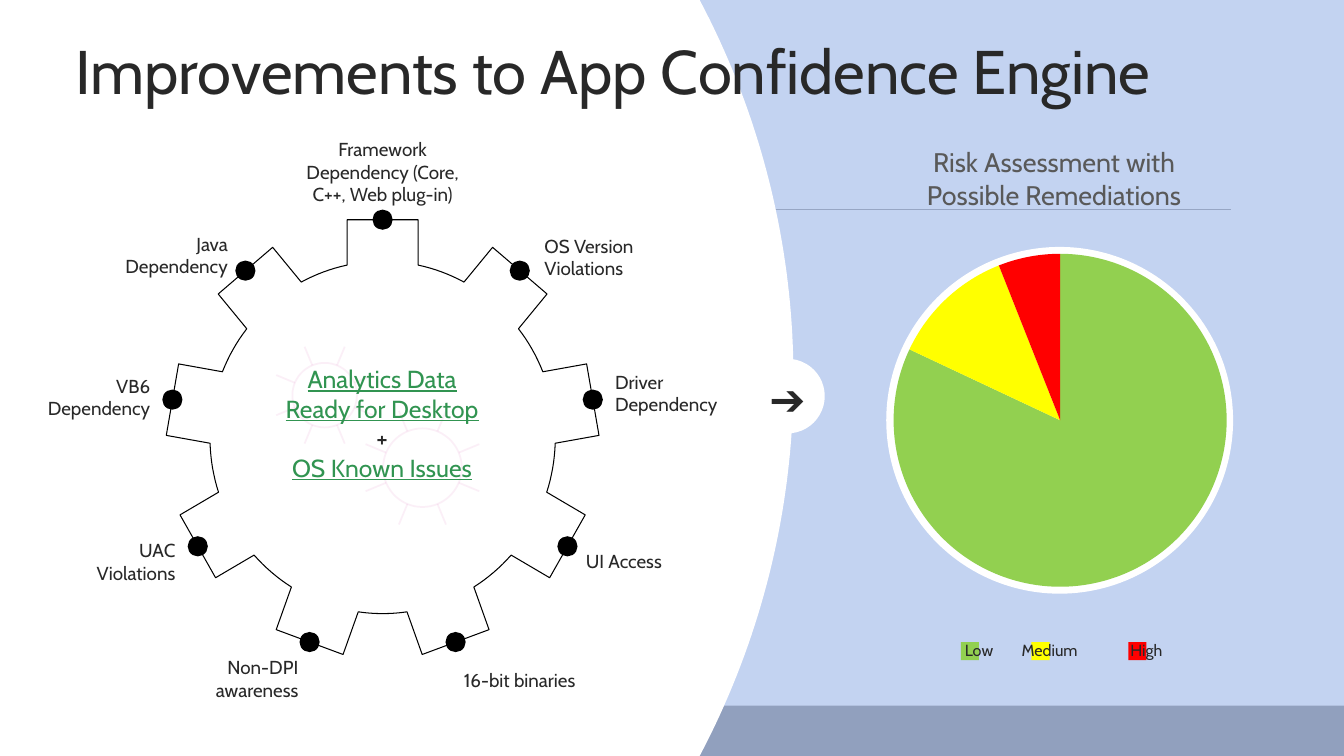
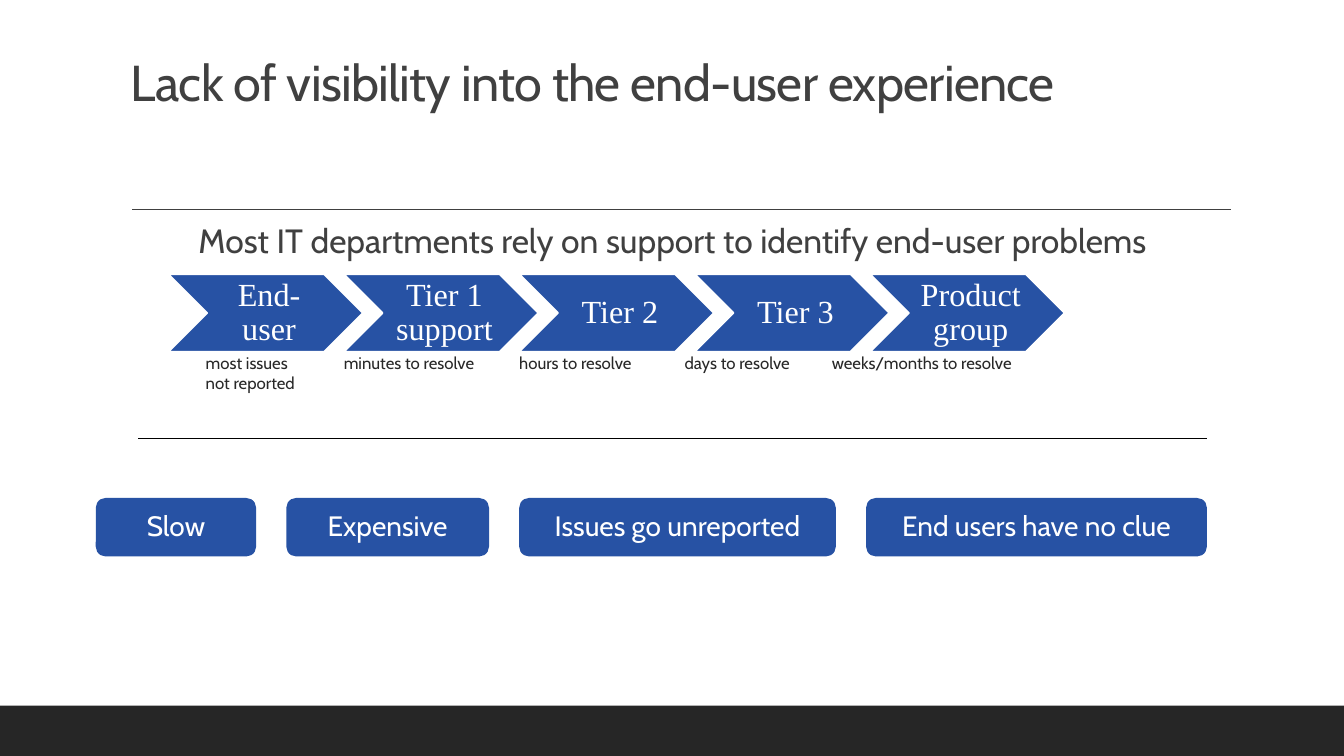
import math
from dataclasses import dataclass
from typing import Sequence

from lxml import etree
from pptx import Presentation
from pptx import util as u
from pptx.chart.data import CategoryChartData
from pptx.dml.color import RGBColor
from pptx.enum import chart as charts
from pptx.enum import shapes, text
from pptx.oxml.ns import qn

PX = 9144
PAGE_W, PAGE_H = 1333, 750

LEFT, CENTER, RIGHT = text.PP_ALIGN.LEFT, text.PP_ALIGN.CENTER, text.PP_ALIGN.RIGHT
TOP, MIDDLE, BOTTOM = text.MSO_ANCHOR.TOP, text.MSO_ANCHOR.MIDDLE, text.MSO_ANCHOR.BOTTOM
SHAPE = shapes.MSO_SHAPE

Point = tuple[float, float]
Area = tuple[int, int, int, int]


@dataclass(frozen=True)
class Theme:
    font: str = "Cabin"
    serif: str = "Times New Roman"
    white: str = "FFFFFF"
    black: str = "000000"
    ink: str = "282828"
    footer: str = "262626"
    heading: str = "404040"
    muted: str = "595959"
    sky: str = "B2C6ED"
    blue: str = "2752A4"
    pink: str = "D13EA1"
    link: str = "319451"
    low: str = "92D050"
    medium: str = "FFFF00"
    high: str = "FF0000"
    wide_title: float = 44
    title: float = 36
    arrow: float = 30.8
    lead: float = 24
    step: float = 23
    button: float = 20
    subtitle: float = 19.2
    center: float = 17.6
    label: float = 13.4
    caption: float = 12
    legend: float = 11.5


THEME = Theme()


@dataclass(frozen=True)
class Style:
    size: float
    color: str = THEME.ink
    font: str = THEME.font
    align: text.PP_ALIGN = LEFT
    anchor: text.MSO_ANCHOR = TOP
    insets: Area = (10, 5, 10, 5)
    spacing: float = 1.0
    tracking: int = 0
    wrap: bool = True


@dataclass(frozen=True)
class Span:
    words: str
    color: str
    underline: bool = False


@dataclass(frozen=True)
class Label:
    words: str
    area: Area
    align: text.PP_ALIGN


@dataclass(frozen=True)
class Cog:
    center: Point
    radius: int
    reach: int


@dataclass(frozen=True)
class Risk:
    name: str
    share: int
    color: str
    left: int
    inset: int


@dataclass(frozen=True)
class Step:
    name: str
    delay: tuple[str, ...]
    caption_left: int


@dataclass(frozen=True)
class Button:
    words: str
    width: int


LABELS = (
    Label("Framework Dependency (Core, C++, Web plug-in)", (300, 136, 159, 69), CENTER),
    Label("OS Version Violations", (540, 232, 118, 46), LEFT),
    Label("Driver Dependency", (610, 367, 118, 46), LEFT),
    Label("UI Access", (581, 545, 118, 23), LEFT),
    Label("16-bit binaries", (460, 652, 116, 45), LEFT),
    Label("Non-DPI awareness", (178, 650, 118, 46), RIGHT),
    Label("UAC Violations", (56, 534, 118, 46), RIGHT),
    Label("VB6 Dependency", (31, 371, 118, 46), RIGHT),
    Label("Java Dependency", (108, 230, 118, 46), RIGHT),
)
COGS = (Cog((322, 392), 32, 52), Cog((419, 464), 39, 61))
RISKS = (
    Risk("Low", 82, THEME.low, 953, 58),
    Risk("Medium", 12, THEME.medium, 1023, 86),
    Risk("High", 6, THEME.high, 1119, 67),
)
DATA_SOURCES = (
    Span("Analytics Data", THEME.link, True),
    Span("Ready for Desktop", THEME.link, True),
    Span("+", THEME.ink),
    Span("OS Known Issues", THEME.link, True),
)
STEPS = (
    Step("End-user", ("most issues", "not reported"), 204),
    Step("Tier 1 support", ("minutes to resolve",), 341),
    Step("Tier 2", ("hours to resolve",), 515),
    Step("Tier 3", ("days to resolve",), 679),
    Step("Product group", ("weeks/months to resolve",), 825),
)
BUTTONS = (
    Button("Slow", 159),
    Button("Expensive", 201),
    Button("Issues go unreported", 314),
    Button("End users have no clue", 338),
)
GEAR_CENTER = (379.5, 434.0)
GEAR_SQUEEZE = 0.98
TIP, ROOT, HALF_TOOTH = 216, 171, 36


def emu(*lengths: float) -> list[u.Emu]:
    return [u.Emu(round(length * PX)) for length in lengths]


def rgb(color: str) -> RGBColor:
    return RGBColor.from_string(color)


def write(shape, spans: Sequence[Span], style: Style) -> None:
    frame = shape.text_frame
    frame.word_wrap = style.wrap
    frame.vertical_anchor = style.anchor
    (frame.margin_left, frame.margin_top,
     frame.margin_right, frame.margin_bottom) = emu(*style.insets)
    for index, span in enumerate(spans):
        para = frame.add_paragraph() if index else frame.paragraphs[0]
        para.alignment = style.align
        para.line_spacing = style.spacing
        run = para.add_run()
        run.text = span.words
        run.font.name = style.font
        run.font.size = u.Pt(style.size)
        run.font.color.rgb = rgb(span.color)
        if span.underline:
            run.font.underline = True
        if style.tracking:
            run.font._element.set("spc", str(style.tracking))


def add_text(page, area: Area, style: Style, *lines: str) -> None:
    box = page.shapes.add_textbox(*emu(*area))
    write(box, [Span(line, style.color) for line in lines], style)


def paint(shape, fill: str | None, line: str | None = None, width: float = 1) -> None:
    shape.shadow.inherit = False
    if fill:
        shape.fill.solid()
        shape.fill.fore_color.rgb = rgb(fill)
    else:
        shape.fill.background()
    if line:
        shape.line.color.rgb = rgb(line)
        shape.line.width = u.Pt(width)
    else:
        shape.line.fill.background()


def add_block(page, kind: SHAPE, area: Area, fill: str, line: str | None = None,
              width: float = 1):
    block = page.shapes.add_shape(kind, *emu(*area))
    paint(block, fill, line, width)
    return block


def add_outline(page, contours: Sequence[Sequence[Point]], closed: Sequence[bool]):
    tracks = [[tuple(emu(*point)) for point in contour] for contour in contours]
    builder = page.shapes.build_freeform(*tracks[0][0], scale=1.0)
    for index, (track, close) in enumerate(zip(tracks, closed)):
        if index:
            builder.move_to(*track[0])
        builder.add_line_segments(track[1:], close=close)
    return builder.convert_to_shape()


def fade(shape, percent: int) -> None:
    for color in shape.element.spPr.iter(qn("a:srgbClr")):
        etree.SubElement(color, qn("a:alpha")).set("val", str(percent * 1000))


def add_rule(page, left: int, right: int, top: int, color: str) -> None:
    rule = page.shapes.add_connector(
        shapes.MSO_CONNECTOR.STRAIGHT, *emu(left, top, right, top))
    rule.line.color.rgb = rgb(color)
    rule.line.width = u.Pt(1)
    etree.SubElement(rule.element.spPr, qn("a:effectLst"))


def add_page(deck):
    page = deck.slides.add_slide(deck.slide_layouts[6])
    add_block(page, SHAPE.RECTANGLE, (0, 700, PAGE_W, 50), THEME.footer)
    add_rule(page, 131, 1221, 208, THEME.heading)
    return page


def polar(center: Point, radius: float, degrees: float) -> Point:
    angle = math.radians(degrees)
    return center[0] + radius * math.sin(angle), center[1] - radius * math.cos(angle)


def gear_point(radius: float, degrees: float) -> Point:
    x, y = polar((0, 0), radius, degrees)
    return GEAR_CENTER[0] + x * GEAR_SQUEEZE, GEAR_CENTER[1] + y


def add_backdrop(page) -> None:
    veil = add_block(page, SHAPE.RECTANGLE, (0, 0, PAGE_W, PAGE_H), THEME.sky)
    fade(veil, 77)
    radius, center_x, middle = 802, -15, PAGE_H / 2
    curve = [(center_x + math.sqrt(radius ** 2 - (y - middle) ** 2), y)
             for y in range(0, PAGE_H + 1, 10)]
    paint(add_outline(page, [[(0, 0), *curve, (0, PAGE_H)]], [True]), THEME.white)


def add_gear(page) -> None:
    pitch = 360 / len(LABELS)
    tip_turn = math.degrees(math.atan2(HALF_TOOTH, TIP))
    root_turn = math.degrees(math.atan2(HALF_TOOTH, ROOT))
    tip, root = math.hypot(HALF_TOOTH, TIP), math.hypot(HALF_TOOTH, ROOT)
    valley = pitch - 2 * root_turn
    outline: list[Point] = []
    for index in range(len(LABELS)):
        turn = index * pitch
        outline += [gear_point(tip, turn - tip_turn), gear_point(tip, turn + tip_turn)]
        outline += [gear_point(root, turn + root_turn + valley * part / 8)
                    for part in range(9)]
    paint(add_outline(page, [outline], [True]), None, THEME.black, 0.75)
    for index, label in enumerate(LABELS):
        x, y = gear_point(TIP, index * pitch)
        add_block(page, SHAPE.OVAL, (x - 10, y - 10, 20, 20), THEME.black)
        add_text(page, label.area, Style(THEME.label, align=label.align, anchor=MIDDLE,
                                         insets=(0, 0, 0, 0)), label.words)


def add_cog(page, cog: Cog) -> None:
    rim = [polar(cog.center, cog.radius, turn) for turn in range(0, 360, 6)]
    spokes = [[polar(cog.center, reach, 22.5 + 45 * index)
               for reach in (cog.radius, cog.reach)] for index in range(8)]
    outline = add_outline(page, [rim, *spokes], [True] + [False] * len(spokes))
    paint(outline, None, THEME.pink, 1.25)
    fade(outline, 7)


def add_pie(page) -> None:
    data = CategoryChartData()
    data.categories = [str(index + 1) for index in range(len(RISKS))]
    data.add_series("Series 1", [risk.share for risk in RISKS])
    chart = page.shapes.add_chart(
        charts.XL_CHART_TYPE.PIE, *emu(845, 237, 413, 360), data).chart
    chart.has_legend = chart.has_title = False
    chart.font.name = THEME.serif
    chart.font.size = u.Pt(10)
    chart.font.color.rgb = rgb(THEME.black)
    plot = chart.plots[0]
    plot.vary_by_categories = True
    for index, risk in enumerate(RISKS):
        wedge = plot.series[0].points[index].format
        wedge.fill.solid()
        wedge.fill.fore_color.rgb = rgb(risk.color)
        wedge.line.fill.background()
    area = next(chart.element.iter(qn("c:plotArea"))) if hasattr(chart, "element") \
        else next(chart._chartSpace.iter(qn("c:plotArea")))
    for old in area.findall(qn("c:layout")):
        area.remove(old)
    layout = etree.Element(qn("c:layout"))
    area.insert(0, layout)
    manual = etree.SubElement(layout, qn("c:manualLayout"))
    for tag, value in (("layoutTarget", "inner"), ("xMode", "edge"), ("yMode", "edge"),
                       ("x", "0.1"), ("y", "0.04"), ("w", "0.8"), ("h", "0.92")):
        etree.SubElement(manual, qn(f"c:{tag}")).set("val", value)


def build_engine_page(deck) -> None:
    page = add_page(deck)
    add_backdrop(page)
    add_text(page, (65, 25, 1176, 98), Style(THEME.wide_title, anchor=MIDDLE, spacing=0.9),
             "Improvements to App Confidence Engine")
    add_gear(page)
    for cog in COGS:
        add_cog(page, cog)
    sources = page.shapes.add_textbox(*emu(266, 356, 226, 158))
    write(sources, DATA_SOURCES, Style(THEME.center, align=CENTER))
    knob = add_block(page, SHAPE.OVAL, (744, 356, 74, 74), THEME.white)
    write(knob, [Span("➔", THEME.ink)], Style(THEME.arrow, align=CENTER, anchor=MIDDLE,
                                              insets=(0, 10, 0, 0), spacing=0.9))
    add_block(page, SHAPE.OVAL, (879, 245, 344, 344), THEME.white)
    add_pie(page)
    add_text(page, (868, 140, 355, 74), Style(THEME.subtitle, THEME.muted, align=CENTER),
             "Risk Assessment with Possible Remediations")
    for risk in RISKS:
        key = add_block(page, SHAPE.RECTANGLE, (risk.left, 637, 18, 18), risk.color)
        write(key, [Span(risk.name, THEME.ink)],
              Style(THEME.legend, align=CENTER, anchor=MIDDLE,
                    insets=(risk.inset, 0, 0, 0), spacing=0.9, wrap=False))


def build_visibility_page(deck) -> None:
    page = add_page(deck)
    add_text(page, (120, 31, 1100, 85),
             Style(THEME.title, THEME.heading, anchor=BOTTOM, spacing=0.9, tracking=-50),
             "Lack of visibility into the end-user experience")
    add_text(page, (77, 213, 1180, 58),
             Style(THEME.lead, THEME.heading, align=CENTER, insets=(0, 5, 0, 5)),
             "Most IT departments rely on support to identify end-user problems")
    step_style = Style(THEME.step, font=THEME.serif, align=CENTER, anchor=MIDDLE,
                       insets=(10, 3, 3, 3), spacing=0.9)
    caption_style = Style(THEME.caption, insets=(0, 0, 0, 0))
    for index, step in enumerate(STEPS):
        chevron = add_block(page, SHAPE.CHEVRON, (167 + 174 * index, 272, 193, 77),
                            THEME.blue, THEME.white, 1.25)
        write(chevron, [Span(step.name, THEME.white)], step_style)
        add_text(page, (step.caption_left, 350, 200, 48), caption_style, *step.delay)
    add_rule(page, 137, 1197, 435, THEME.black)
    button_style = Style(THEME.button, align=CENTER, anchor=MIDDLE,
                         insets=(20, 16, 20, 16), spacing=0.9)
    left, gap = 95, 30
    for button in BUTTONS:
        block = add_block(page, SHAPE.ROUNDED_RECTANGLE, (left, 494, button.width, 58),
                          THEME.blue)
        write(block, [Span(button.words, THEME.white)], button_style)
        left += button.width + gap


def main() -> None:
    deck = Presentation()
    deck.slide_width, deck.slide_height = emu(PAGE_W, PAGE_H)
    build_engine_page(deck)
    build_visibility_page(deck)
    deck.save("out.pptx")


if __name__ == "__main__":
    main()
